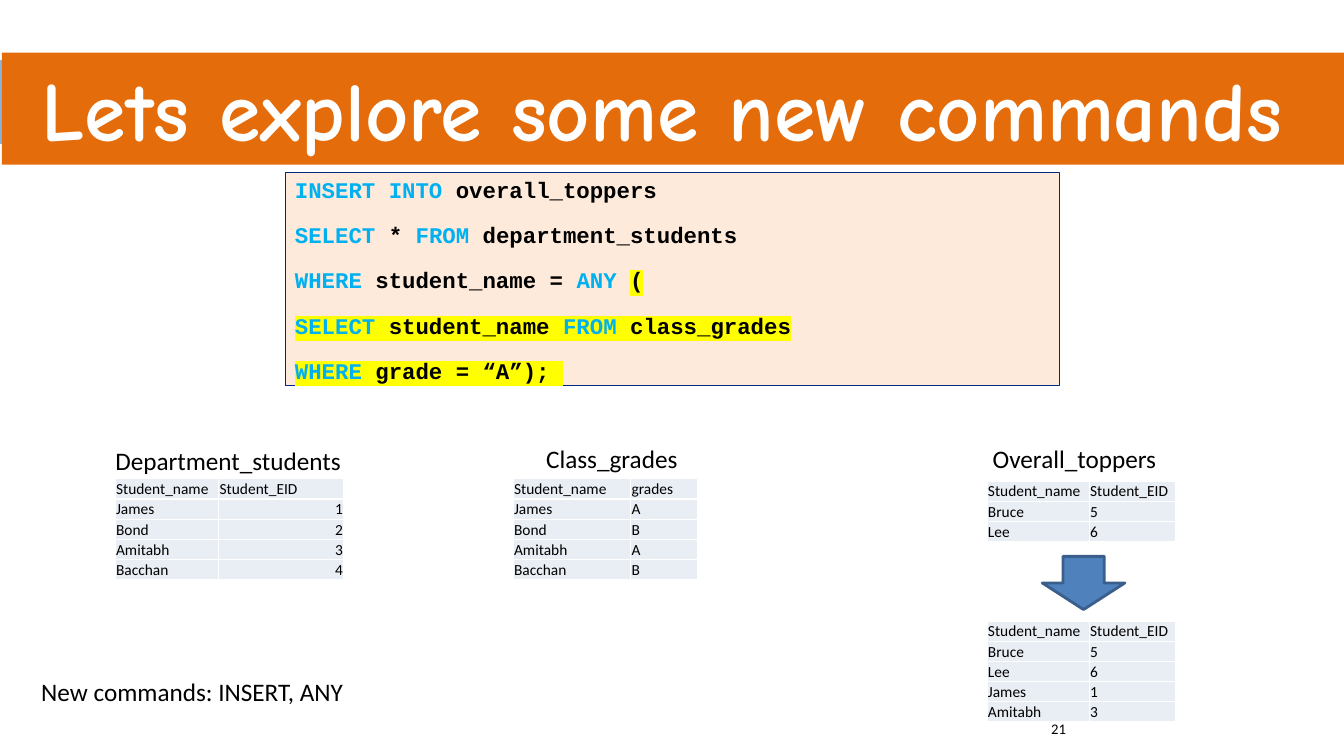
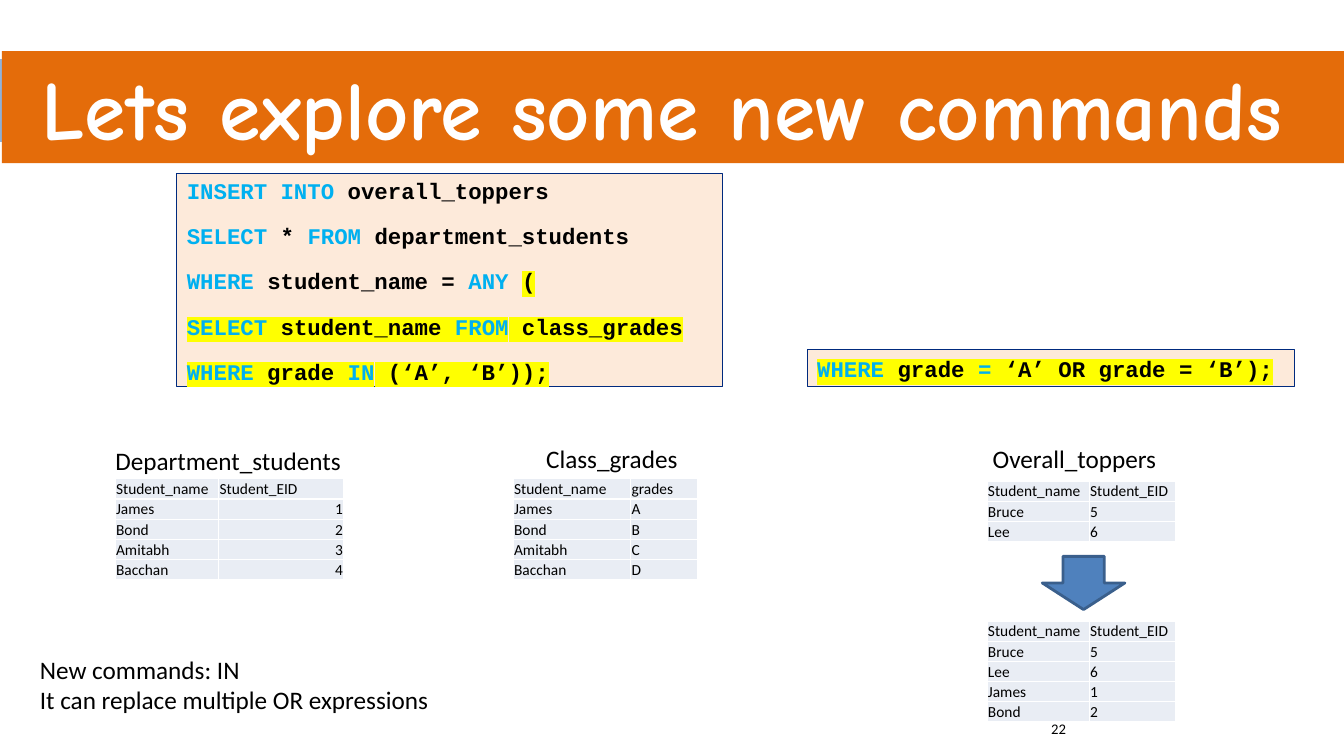
from pptx import Presentation
from pptx.dml.color import RGBColor
from pptx.enum import shapes as sh, text as tx
from pptx.oxml import parse_xml
from pptx.oxml.ns import nsdecls, qn
from pptx.util import Pt

WHITE = RGBColor(0xFF, 0xFF, 0xFF)
BLACK = RGBColor(0, 0, 0)
ORANGE = RGBColor(0xE4, 0x6C, 0x0A)
PEACH = RGBColor(0xFD, 0xEA, 0xDA)
NAVY = RGBColor(0x00, 0x2A, 0x7E)
SKY = RGBColor(0x00, 0xB0, 0xF0)
YELLOW = RGBColor(0xFF, 0xFF, 0x00)
PALE = RGBColor(0xE9, 0xED, 0xF4)
BLUE = RGBColor(0x4F, 0x81, 0xBD)
STEEL = RGBColor(0x3A, 0x5F, 0x8C)
SLATE = RGBColor(0x56, 0x6A, 0x83)
MIST = RGBColor(0x90, 0xB3, 0xDC)


class Deck:
    """Holds the style and the current slide, and draws each kind of element."""

    body, head, mono = "Calibri", "Comic Neue", "Courier New"
    row = 14.4

    def __init__(self):
        self.prs = Presentation()
        self.prs.slide_width, self.prs.slide_height = Pt(960), Pt(540)

    def start(self, num, top):
        self.slide = self.prs.slides.add_slide(self.prs.slide_layouts[6])
        self.glow(0, top + 5.6, 960, 59)
        band = self.shape(1.4, top, 962, 80, ORANGE)
        band.text_frame.vertical_anchor = tx.MSO_ANCHOR.TOP
        self.run(self.para(band.text_frame), " Lets explore some new commands",
                 60, self.head, WHITE, True)
        self.label(743.8, 510.5, 216, [str(num)], 10.5)

    def shape(self, x, y, w, h, fill, line=None, wide=0.75, kind=sh.MSO_SHAPE.RECTANGLE):
        item = self.slide.shapes.add_shape(kind, Pt(x), Pt(y), Pt(w), Pt(h))
        item.shadow.inherit = False
        item.fill.solid()
        item.fill.fore_color.rgb = fill
        if line is None:
            item.line.fill.background()
        else:
            item.line.color.rgb = line
            item.line.width = Pt(wide)
        return item

    def glow(self, x, y, w, h):
        fill = self.shape(x, y, w, h, MIST).fill
        fill.gradient()
        for stop, tint in zip(fill.gradient_stops, (SLATE, MIST)):
            stop.color.rgb = tint
        lin = next(fill._xPr.iter(qn("a:lin")))
        lin.getparent().replace(lin, parse_xml(
            f'<a:path {nsdecls("a")} path="circle">'
            '<a:fillToRect l="100000" t="100000"/></a:path>'))

    def para(self, frame, first=True):
        para = frame.paragraphs[0] if first else frame.add_paragraph()
        para.alignment = tx.PP_ALIGN.LEFT
        return para

    def run(self, para, words, size, font, tint, bold=False, mark=None):
        run = para.add_run()
        run.text = words
        run.font.size, run.font.bold, run.font.name = Pt(size), bold, font
        run.font.color.rgb = tint
        if mark is not None:
            run.font._element.find(qn("a:solidFill")).addnext(parse_xml(
                f'<a:highlight {nsdecls("a")}><a:srgbClr val="{mark}"/></a:highlight>'))

    def label(self, x, y, w, lines, size=18):
        box = self.slide.shapes.add_textbox(Pt(x), Pt(y), Pt(w), Pt(7.2 + 22 * len(lines)))
        box.text_frame.word_wrap = False
        for i, line in enumerate(lines):
            self.run(self.para(box.text_frame, i == 0), line, size, self.body, BLACK)

    def code(self, x, y, w, h, lines):
        frame = self.shape(x, y, w, h, PEACH, NAVY).text_frame
        frame.word_wrap = True
        frame.vertical_anchor = tx.MSO_ANCHOR.MIDDLE
        for i, (plain, lit) in enumerate(lines):
            para = self.para(frame, i == 0)
            para.space_before = para.space_after = Pt(6)
            para.line_spacing = 1.06
            for part, mark in ((plain, None), (lit, YELLOW)):
                for j, words in enumerate(part.split("~")):
                    if words:
                        self.run(para, words, 16, self.mono, (SKY, BLACK)[j % 2], True, mark)

    def table(self, x, y, cols, rows, right=False):
        grid = self.slide.shapes.add_table(len(rows), len(cols), Pt(x), Pt(y),
                                           Pt(sum(cols)), Pt(self.row * len(rows))).table
        grid.first_row = grid.horz_banding = False
        for col, wide in zip(grid.columns, cols):
            col.width = Pt(wide)
        for i, row in enumerate(rows):
            grid.rows[i].height = Pt(self.row)
            for j, words in enumerate(row):
                cell = grid.cell(i, j)
                cell.fill.solid()
                cell.fill.fore_color.rgb = PALE
                cell.margin_left = cell.margin_right = cell.margin_top = Pt(0.7)
                cell.margin_bottom = 0
                cell.vertical_anchor = tx.MSO_ANCHOR.BOTTOM
                para = self.para(cell.text_frame)
                if right and i and j:
                    para.alignment = tx.PP_ALIGN.RIGHT
                self.run(para, words, 11, self.body, BLACK)

    def data(self, marks, added):
        names = ("James", "Bond", "Amitabh", "Bacchan")
        top = ("Student_name", "Student_EID")
        best = [top, ("Bruce", "5"), ("Lee", "6")]
        self.table(82.2, 342, (74, 89.5), [top, *zip(names, "1234")], True)
        self.table(366.5, 342, (84, 48), [("Student_name", "grades"), *zip(names, marks)])
        self.table(705, 343.6, (73, 62), best)
        self.table(705, 443.6, (73, 62), best + added)
        self.label(383, 313.2, 109.5, ["Class_grades"])
        self.label(75.3, 314.6, 177, ["Department_students"])
        self.label(702, 313.2, 132.5, ["Overall_toppers"])
        self.shape(744.5, 397.4, 59, 38, BLUE, STEEL, 2, sh.MSO_SHAPE.DOWN_ARROW)


def main():
    query = [("INSERT INTO ~overall_toppers", ""),
             ("SELECT~ * ~FROM ~department_students", ""),
             ("WHERE ~student_name = ~ANY ", "~("),
             ("", "SELECT~ student_name ~FROM~ class_grades")]
    deck = Deck()

    deck.start(21, 37.6)
    deck.code(203.6, 123.2, 553, 152.4, query + [("", "WHERE~ grade = “A”); ")])
    deck.data("ABAB", [("James", "1"), ("Amitabh", "3")])
    deck.label(22.4, 479.5, 232.5, ["New commands: INSERT, ANY"])

    deck.start(22, 36.6)
    deck.code(126.4, 124, 390, 152.4, query + [("", "WHERE~ grade ~IN~ (‘A’, ‘B’));")])
    deck.data("ABCD", [("James", "1"), ("Bond", "2")])
    deck.label(21.4, 463.7, 295, ["New commands: IN", "It can replace multiple OR expressions"])
    deck.code(576.6, 249.6, 348, 26.8, [("", "WHERE~ grade ~= ~‘A’ OR grade = ‘B’);")])

    deck.prs.save("out.pptx")


if __name__ == "__main__":
    main()
